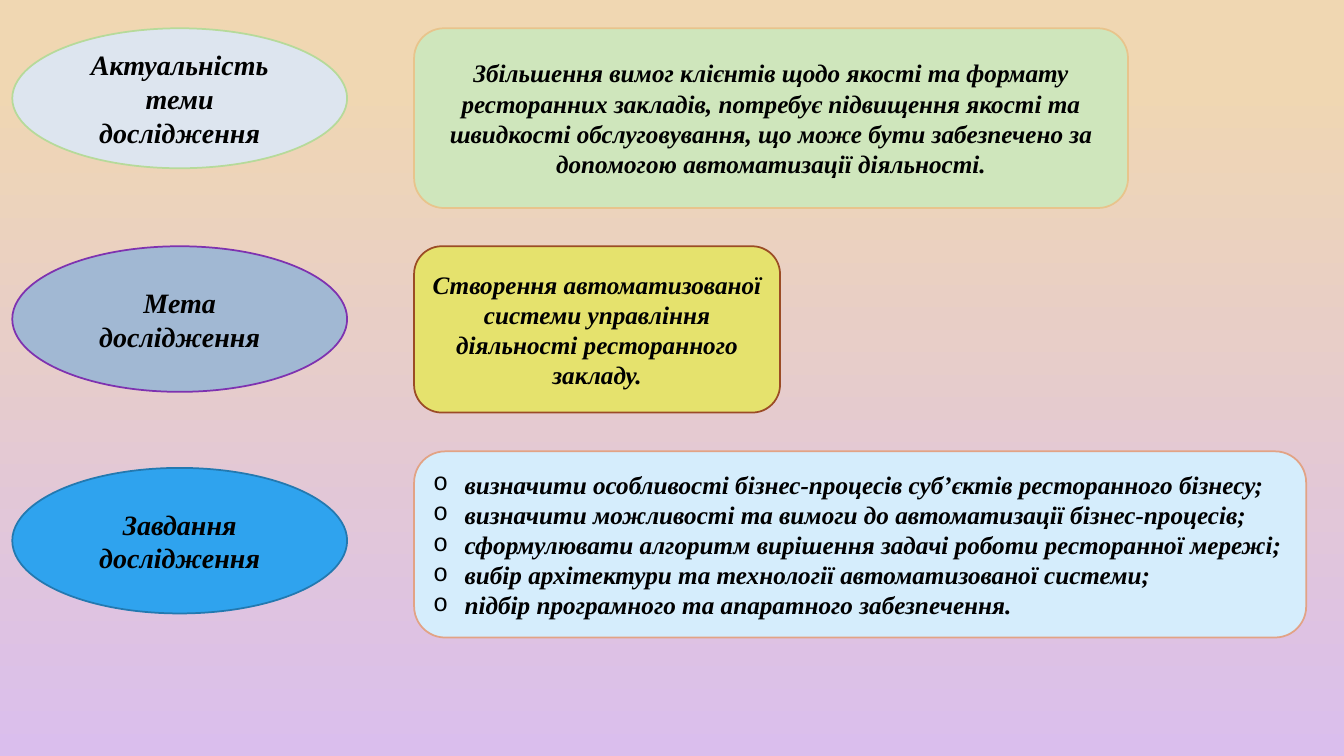
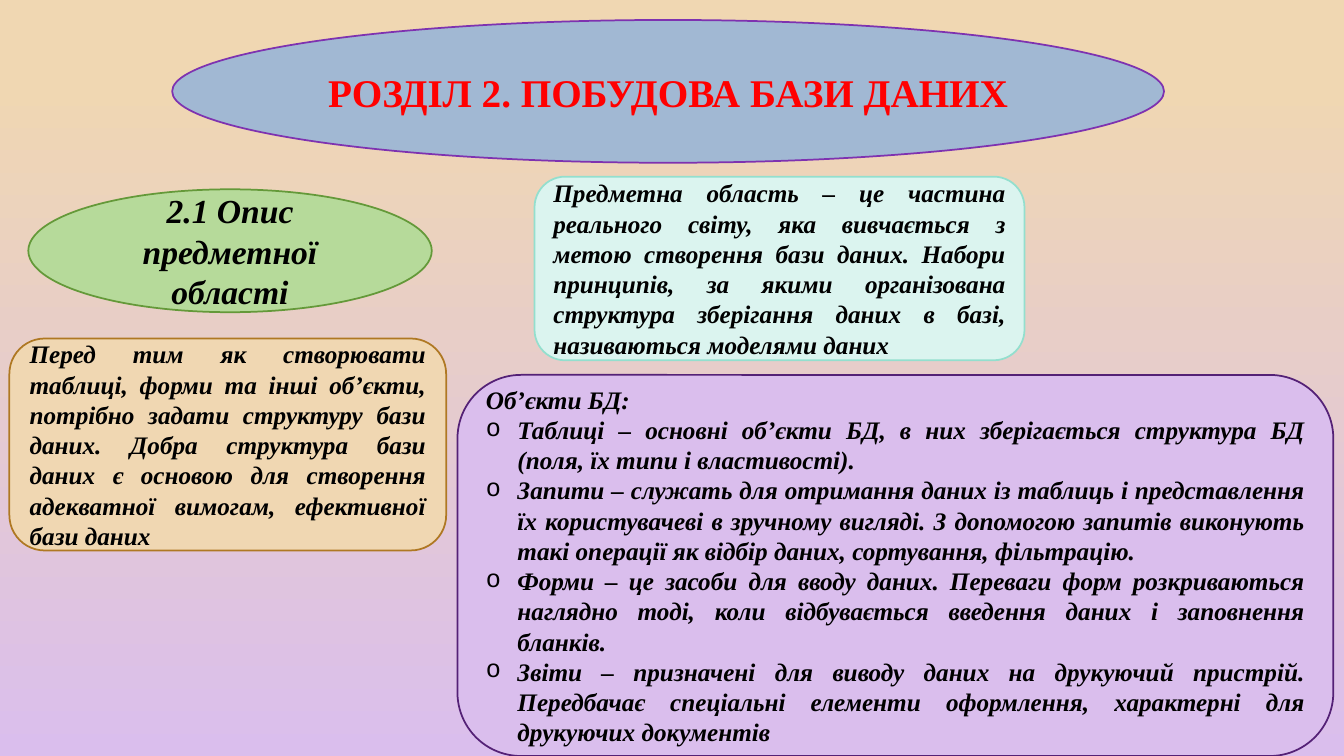
import pptx
import pptx.util
import pptx.dml.color
import pptx.enum.shapes
import pptx.enum.text
import pptx.oxml.ns
from lxml import etree

Pt = pptx.util.Pt
RGB = pptx.dml.color.RGBColor
OVAL = pptx.enum.shapes.MSO_SHAPE.OVAL
ROUND = pptx.enum.shapes.MSO_SHAPE.ROUNDED_RECTANGLE
MID = pptx.enum.text.MSO_ANCHOR.MIDDLE
CENTER = pptx.enum.text.PP_ALIGN.CENTER
JUST = pptx.enum.text.PP_ALIGN.JUSTIFY

BLACK = RGB(0x00, 0x00, 0x00)
RED = RGB(0xFF, 0x00, 0x00)
SAND = RGB(0xF0, 0xD7, 0xB2)
LILAC = RGB(0xDA, 0xBE, 0xED)
STEEL = RGB(0xA1, 0xB8, 0xD3)
VIOLET = RGB(0x7E, 0x32, 0xB0)
GREEN = RGB(0xB6, 0xDA, 0x9A)
MIST = RGB(0xDD, 0xE5, 0xEF)
LEAF = RGB(0xCF, 0xE6, 0xBC)
GOLD = RGB(0xE8, 0xC4, 0x8C)
LEMON = RGB(0xE5, 0xE2, 0x6D)
RUST = RGB(0x9B, 0x4C, 0x25)
BLUE = RGB(0x2F, 0xA3, 0xEE)
NAVY = RGB(0x23, 0x79, 0xB0)
SKY = RGB(0xD5, 0xED, 0xFC)
CORAL = RGB(0xE2, 0xA3, 0x85)
MOSS = RGB(0x64, 0x99, 0x39)
MINT = RGB(0xDB, 0xF4, 0xEF)
AQUA = RGB(0x93, 0xDF, 0xCE)
BROWN = RGB(0xAF, 0x78, 0x23)
PLUM = RGB(0x54, 0x21, 0x76)

FONT = "Times New Roman"
HANG = Pt(22.5)

GOALS = [
    {
        "label": "Актуальність теми дослідження",
        "oval": (20.2, 100), "tint": (MIST, GREEN),
        "box": (20.2, 510, 128.4), "paint": (LEAF, GOLD),
        "text": "Збільшення вимог клієнтів щодо якості та формату ресторанних закладів, потребує підвищення якості та швидкості обслуговування, що може бути забезпечено за допомогою автоматизації діяльності.",
    },
    {
        "label": "Мета дослідження",
        "oval": (175.9, 104), "tint": (STEEL, VIOLET),
        "box": (175.9, 261.4, 118.8), "paint": (LEMON, RUST),
        "text": "Створення автоматизованої системи управління діяльності ресторанного закладу.",
    },
    {
        "label": "Завдання дослідження",
        "oval": (334.2, 104), "tint": (BLUE, NAVY),
        "box": (322.4, 637.2, 133), "paint": (SKY, CORAL),
        "items": [
            "визначити особливості бізнес-процесів субʼєктів ресторанного бізнесу;",
            "визначити можливості та вимоги до автоматизації бізнес-процесів;",
            "сформулювати алгоритм вирішення задачі роботи ресторанної мережі;",
            "вибір архітектури та технології автоматизованої системи;",
            "підбір програмного та апаратного забезпечення.",
        ],
    },
]

TITLE = "РОЗДІЛ 2. ПОБУДОВА БАЗИ ДАНИХ"
TOPIC = "2.1 Опис предметної області"
DOMAIN = "Предметна область – це частина реального світу, яка вивчається з метою створення бази даних. Набори принципів, за якими організована структура зберігання даних в базі, називаються моделями даних"
DESIGN = "Перед тим як створювати таблиці, форми та інші об’єкти, потрібно задати структуру бази даних. Добра структура бази даних є основою для створення адекватної вимогам, ефективної бази даних"
LEAD = "Об’єкти БД:"
PARTS = [
    "Таблиці – основні об’єкти БД, в них зберігається структура БД (поля, їх типи і властивості).",
    "Запити – служать для отримання даних із таблиць і представлення їх користувачеві в зручному вигляді. З допомогою запитів виконують такі операції як відбір даних, сортування, фільтрацію.",
    "Форми – це засоби для вводу даних. Переваги форм розкриваються наглядно тоді, коли відбувається введення даних і заповнення бланків.",
    "Звіти – призначені для виводу даних на друкуючий пристрій. Передбачає спеціальні елементи оформлення, характерні для друкуючих документів",
]


def new_slide(deck):
    slide = deck.slides.add_slide(deck.slide_layouts[6])
    fill = slide.background.fill
    fill.gradient()
    fill.gradient_angle = 270
    for stop, place, color in zip(fill.gradient_stops, (0.11, 1), (SAND, LILAC)):
        stop.position = place
        stop.color.rgb = color
    return slide


def add_bullet(para):
    props = para._p.get_or_add_pPr()
    props.set("marL", str(HANG))
    props.set("indent", str(-HANG))
    face = etree.SubElement(props, pptx.oxml.ns.qn("a:buFont"))
    face.set("typeface", "Courier New")
    mark = etree.SubElement(props, pptx.oxml.ns.qn("a:buChar"))
    mark.set("char", "o")


def add_card(slide, kind, spot, paint, lead=None, items=(), size=18,
             align=CENTER, color=BLACK, italic=True):
    shape = slide.shapes.add_shape(kind, *map(Pt, spot))
    shape.shadow.inherit = False
    shape.fill.solid()
    shape.fill.fore_color.rgb, shape.line.color.rgb = paint
    shape.line.width = Pt(1.25)
    frame = shape.text_frame
    frame.word_wrap = True
    frame.vertical_anchor = MID
    lines = [(lead, False)] if lead else []
    lines += [(item, True) for item in items]
    for index, (text, listed) in enumerate(lines):
        para = frame.add_paragraph() if index else frame.paragraphs[0]
        para.alignment = align
        if listed:
            add_bullet(para)
        run = para.add_run()
        run.text = text
        font = run.font
        font.name = FONT
        font.size = Pt(size)
        font.bold = True
        font.italic = italic
        font.color.rgb = color


def add_goals(deck):
    slide = new_slide(deck)
    for goal in GOALS:
        top, high = goal["oval"]
        add_card(slide, OVAL, (8.8, top, 239.2, high), goal["tint"],
                 goal["label"], size=20)
        top, wide, high = goal["box"]
        items = goal.get("items", ())
        add_card(slide, ROUND, (295.8, top, wide, high), goal["paint"],
                 goal.get("text"), items, align=JUST if items else CENTER)


def add_base(deck):
    slide = new_slide(deck)
    add_card(slide, OVAL, (123, 14.3, 708.5, 102), (STEEL, VIOLET), TITLE,
             size=28, color=RED, italic=False)
    add_card(slide, OVAL, (20.2, 135.2, 288.2, 87.8), (GREEN, MOSS), TOPIC, size=24)
    add_card(slide, ROUND, (381.8, 126.2, 350, 131.2), (MINT, AQUA), DOMAIN, align=JUST)
    add_card(slide, ROUND, (6.7, 241.8, 312, 151.4), (SAND, BROWN), DESIGN, align=JUST)
    add_card(slide, ROUND, (326.8, 267.8, 625.6, 272.2), (LILAC, PLUM), LEAD,
             PARTS, align=JUST)


def main():
    deck = pptx.Presentation()
    deck.slide_width = Pt(960)
    deck.slide_height = Pt(540)
    add_goals(deck)
    add_base(deck)
    deck.save("out.pptx")


if __name__ == "__main__":
    main()
